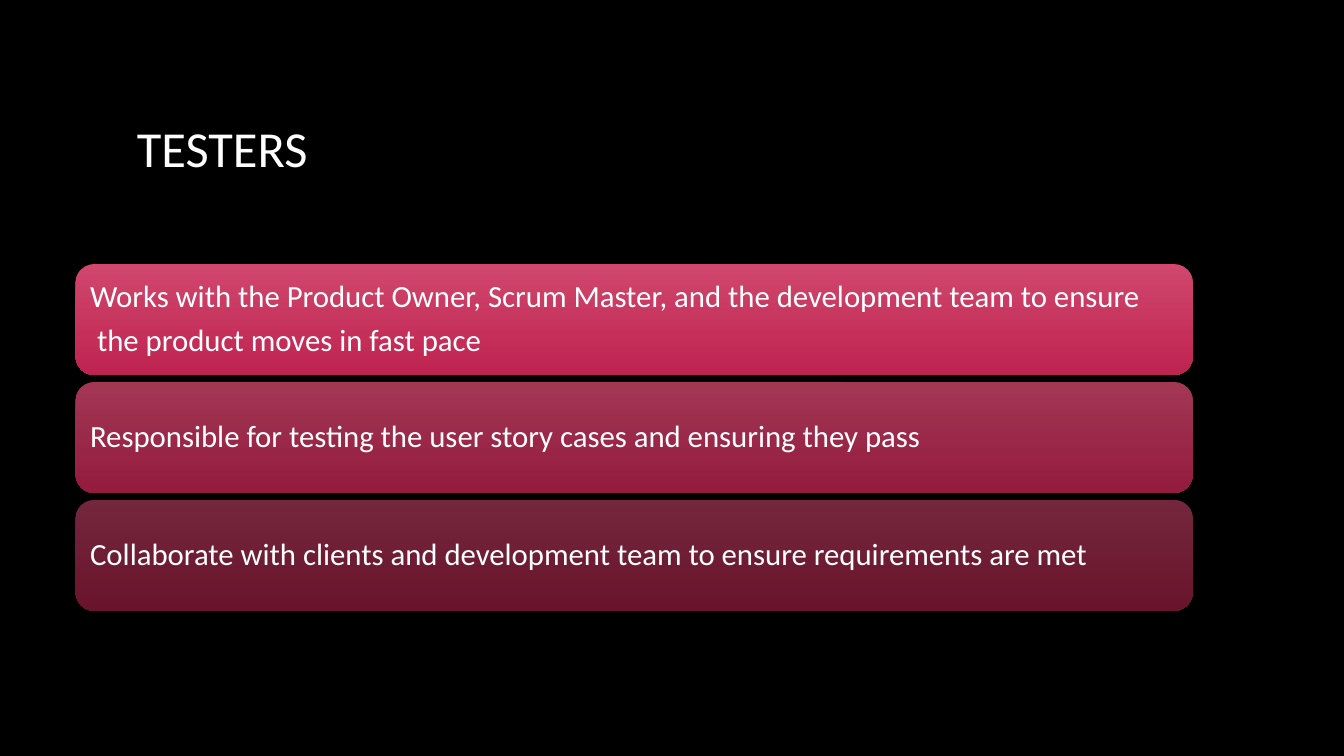
import pptx
import pptx.util
import pptx.dml.color
import pptx.enum.shapes
import pptx.enum.text
import pptx.oxml
import pptx.oxml.ns
from dataclasses import dataclass

Inches, Pt = pptx.util.Inches, pptx.util.Pt
MIDDLE = pptx.enum.text.MSO_ANCHOR.MIDDLE
LEFT = pptx.enum.text.PP_ALIGN.LEFT


@dataclass(frozen=True)
class Theme:
    back: str = "000000"
    text: str = "FFFFFF"
    top: str = "E84F79"
    base: str = "D32859"
    font: str = "Calibri"
    head: int = 36
    body: int = 22


THEME = Theme()
DUTIES = [
    (90, ["Works with the Product Owner, Scrum Master, and the development team to ensure",
          " the product moves in fast pace"]),
    (70, ["Responsible for testing the user story cases and ensuring they pass"]),
    (50, ["Collaborate with clients and development team to ensure requirements are met"]),
]


def color(code):
    return pptx.dml.color.RGBColor.from_string(code)


def write(frame, lines, size, inset, **para):
    """Fill a text frame with left-aligned lines, centred in height."""
    look = {"word_wrap": True, "vertical_anchor": MIDDLE,
            "margin_left": inset, "margin_right": inset}
    for name, value in look.items():
        setattr(frame, name, value)
    for i, line in enumerate(lines):
        p = frame.paragraphs[0] if i == 0 else frame.add_paragraph()
        for name, value in {"alignment": LEFT, **para}.items():
            setattr(p, name, value)
        run = p.add_run()
        run.text = line
        for name, value in {"name": THEME.font, "size": Pt(size)}.items():
            setattr(run.font, name, value)
        run.font.color.rgb = color(THEME.text)


def title(slide, left, top, width, height):
    box = slide.shapes.add_textbox(left, top, width, height)
    write(box.text_frame, ["TESTERS"], THEME.head, Inches(0.1))


def card(slide, left, top, width, height, alpha, lines):
    kind = pptx.enum.shapes.MSO_SHAPE.ROUNDED_RECTANGLE
    shape = slide.shapes.add_shape(kind, left, top, width, height)
    shape.shadow.inherit = False
    shape.line.fill.background()
    # Top-down gradient, see-through by alpha percent
    shape.fill.gradient()
    shape.fill.gradient_angle = 270
    for stop, code in zip(shape.fill.gradient_stops, (THEME.top, THEME.base)):
        stop.color.rgb = color(code)
    for tone in shape._element.spPr.iter(pptx.oxml.ns.qn("a:srgbClr")):
        mark = pptx.oxml.parse_xml(
            f'<a:alpha {pptx.oxml.ns.nsdecls("a")} val="{alpha * 1000}"/>')
        tone.append(mark)
    write(shape.text_frame, lines, THEME.body, Inches(0.09),
          line_spacing=0.9, space_after=Pt(7.5))


def stack(slide, left, top, width, height, gap):
    """Place the cards one below the other, equal in height."""
    count = len(DUTIES)
    tall = (height - gap * (count - 1)) // count
    for i, (alpha, lines) in enumerate(DUTIES):
        card(slide, left, top + i * (tall + gap), width, tall, alpha, lines)


def main():
    deck = pptx.Presentation()
    deck.slide_width, deck.slide_height = Inches(13.33), Inches(7.5)
    slide = deck.slides.add_slide(deck.slide_layouts[6])
    slide.background.fill.solid()
    slide.background.fill.fore_color.rgb = color(THEME.back)
    title(slide, Inches(1.26), Inches(0.67), Inches(9.36), Inches(1.59))
    stack(slide, Inches(0.75), Inches(2.62), Inches(11.08), Inches(3.44), Inches(0.07))
    deck.save("out.pptx")


if __name__ == "__main__":
    main()
